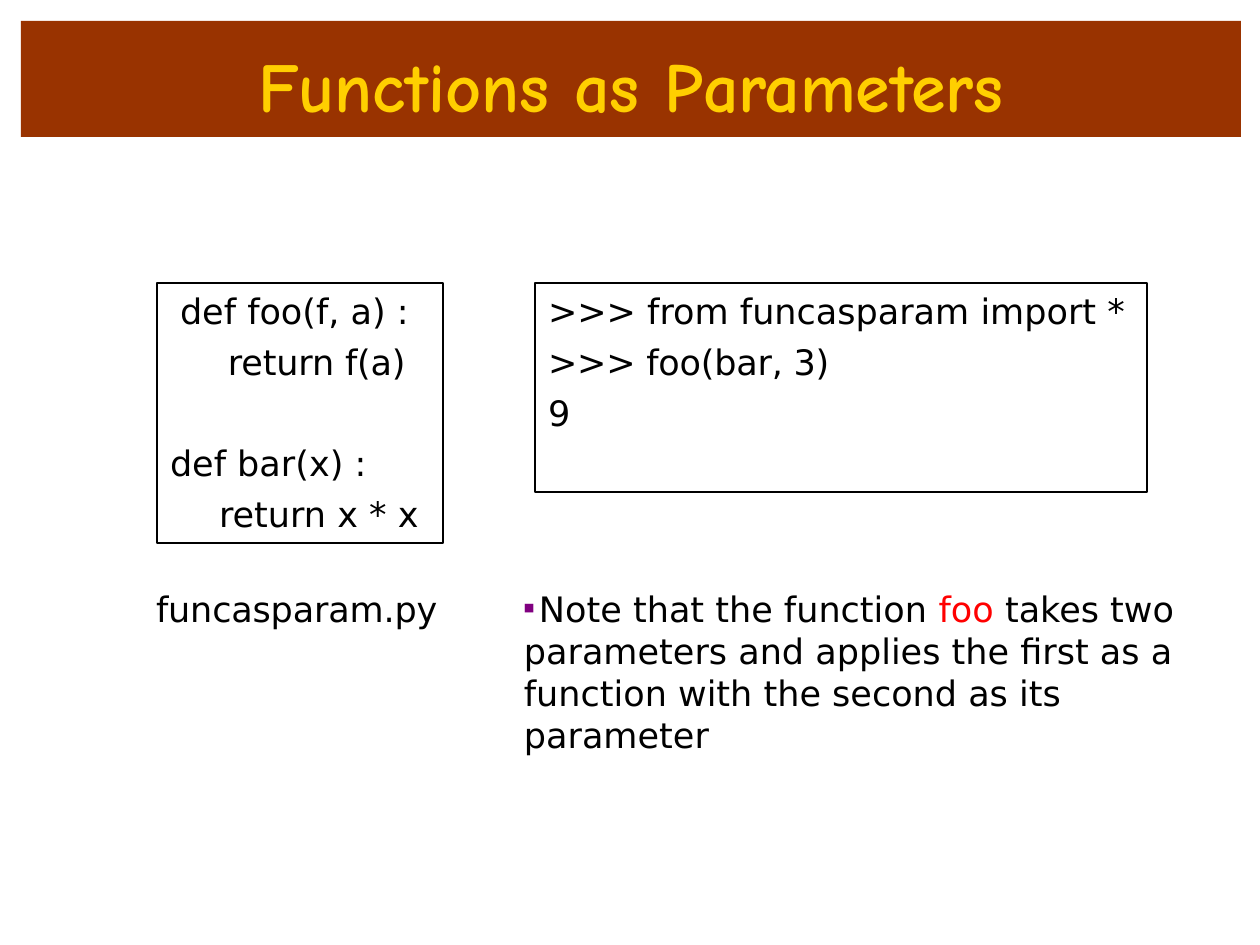
from dataclasses import dataclass

from lxml import etree
from pptx import Presentation
from pptx.dml.color import RGBColor
from pptx.enum.shapes import MSO_SHAPE
from pptx.enum.text import MSO_ANCHOR, PP_ALIGN
from pptx.oxml.ns import qn
from pptx.util import Pt

PX = 7257.14  # EMU per px, 126 px to the inch
RECT = MSO_SHAPE.RECTANGLE
TOP = MSO_ANCHOR.TOP
LEFT, CENTER = PP_ALIGN.LEFT, PP_ALIGN.CENTER

BROWN = RGBColor(0x99, 0x33, 0x00)
GOLD = RGBColor(0xFF, 0xCF, 0x00)
BLACK = RGBColor(0x00, 0x00, 0x00)
RED = RGBColor(0xFF, 0x00, 0x00)
PURPLE = RGBColor(0x80, 0x00, 0x80)


@dataclass
class Line:
    text: str
    indent: int = 0  # px
    before: float = 5.2  # points
    track: int = 0  # hundredths of a point


@dataclass
class Box:
    left: int
    top: int
    width: int
    height: int
    lines: list[Line]


def emu(px: int) -> int:
    return round(px * PX)


def add_text(frame, runs, *, first=True, font="DejaVu Sans", size=20, bold=False,
             align=LEFT, indent=0, before=1.0, track=0):
    """Add one paragraph made of (text, colour) runs."""
    para = frame.paragraphs[0] if first else frame.add_paragraph()
    para.alignment = align
    para.space_before = Pt(before)
    props = para._p.get_or_add_pPr()
    props.set("marL", str(emu(indent)))
    props.set("indent", "0")
    for text, color in runs:
        run = para.add_run()
        run.text = text
        run.font.name, run.font.size, run.font.bold = font, Pt(size), bold
        run.font.color.rgb = color
        if track:
            run._r.get_or_add_rPr().set("spc", str(track))
    return para


def set_frame(shape, top: int):
    frame = shape.text_frame
    frame.word_wrap = True
    frame.vertical_anchor = TOP
    frame.margin_left = frame.margin_right = frame.margin_bottom = 0
    frame.margin_top = emu(top)
    return frame


def add_rect(slide, left: int, top: int, width: int, height: int, fill=None, line=None):
    shape = slide.shapes.add_shape(RECT, *map(emu, (left, top, width, height)))
    shape.shadow.inherit = False
    if fill is None:
        shape.fill.background()
    else:
        shape.fill.solid()
        shape.fill.fore_color.rgb = fill
    if line is None:
        shape.line.fill.background()
    else:
        shape.line.color.rgb = line
        shape.line.width = Pt(0.75)
    return shape


def add_code(slide, box: Box) -> None:
    shape = add_rect(slide, box.left, box.top, box.width, box.height, line=BLACK)
    frame = set_frame(shape, 6)
    for i, line in enumerate(box.lines):
        add_text(frame, [(line.text, BLACK)], first=i == 0,
                 indent=line.indent, before=line.before, track=line.track)


def add_note(slide, left: int, top: int, width: int, height: int, runs, track=0):
    shape = slide.shapes.add_textbox(*map(emu, (left, top, width, height)))
    return add_text(set_frame(shape, 1), runs, indent=1, track=track)


def add_bullet(para, color: RGBColor, tab: int) -> None:
    props = para._p.get_or_add_pPr()
    tint = etree.SubElement(props, qn("a:buClr"))
    etree.SubElement(tint, qn("a:srgbClr"), val=str(color))
    etree.SubElement(props, qn("a:buSzPct"), val="32000")
    etree.SubElement(props, qn("a:buFont"), typeface="DejaVu Sans")
    etree.SubElement(props, qn("a:buChar"), char="■")
    tabs = etree.SubElement(props, qn("a:tabLst"))
    etree.SubElement(tabs, qn("a:tab"), pos=str(emu(tab)), algn="l")


CODE = [
    Box(157, 283, 286, 260, [
        Line("def foo(f, a) :", 23, 3.5),
        Line("return f(a)", 71, track=-10),
        Line("def bar(x) :", 13, 33.7),
        Line("return x * x", 62),
    ]),
    Box(535, 283, 612, 209, [
        Line(">>> from funcasparam import *", 13, 3.5),
        Line(">>> foo(bar, 3)", 13, track=-15),
        Line("9", 13),
    ]),
]


def main() -> None:
    deck = Presentation()
    deck.slide_width, deck.slide_height = emu(1260), emu(945)
    slide = deck.slides.add_slide(deck.slide_layouts[6])

    # Title band
    band = add_rect(slide, 21, 21, 1220, 116, fill=BROWN)
    add_text(set_frame(band, 22), [("Functions as Parameters", GOLD)],
             font="Comic Neue", size=40, bold=True, align=CENTER, before=12.3)

    # Source file and session
    for box in CODE:
        add_code(slide, box)

    # Notes below
    note = add_note(slide, 523, 586, 655, 171, [
        ("\tNote that the function ", BLACK),
        ("foo ", RED),
        ("takes two parameters and applies the first as a "
         "function with the second as its parameter", BLACK),
    ])
    add_bullet(note, PURPLE, 16)
    add_note(slide, 155, 586, 286, 45, [("funcasparam.py", BLACK)], track=-10)

    deck.save("out.pptx")


if __name__ == "__main__":
    main()
